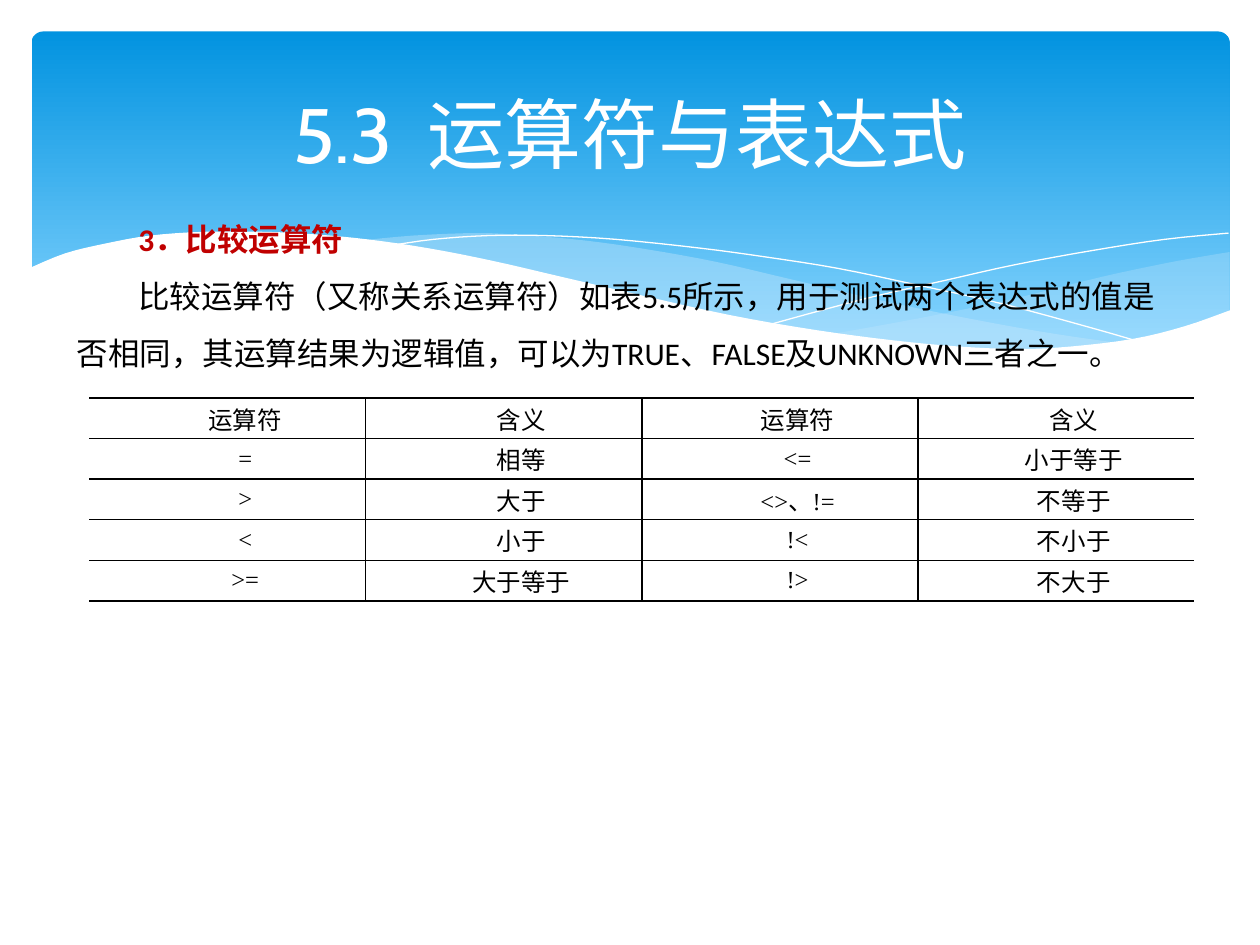
from lxml import etree
from pptx import Presentation
from pptx.dml.color import RGBColor
from pptx.enum.shapes import MSO_SHAPE
from pptx.enum.text import MSO_ANCHOR, PP_ALIGN
from pptx.oxml.ns import qn
from pptx.util import Inches, Pt

ROUNDED = MSO_SHAPE.ROUNDED_RECTANGLE
MIDDLE, TOP = MSO_ANCHOR.MIDDLE, MSO_ANCHOR.TOP
CENTER, LEFT = PP_ALIGN.CENTER, PP_ALIGN.LEFT

COLORS = {
    "sky_dark": "0293E0",
    "sky_light": "83D3FE",
    "mist": "C6E7FC",
    "white": "FFFFFF",
    "heading": "C00000",
    "ink": "000000",
}

# Knots of the smooth wave edges, in inches
RIGHT_BAND_TOP = [(9.76, 2), (9.35, 2.07), (8.91, 2.16), (8.61, 2.23),
                  (8.05, 2.37), (7.53, 2.48), (7.06, 2.57), (6.61, 2.65)]
RIGHT_BAND_BOTTOM = [(6.61, 2.65), (7.05, 2.71), (7.57, 2.76), (8.03, 2.78),
                     (8.54, 2.76), (8.97, 2.7), (9.35, 2.62), (9.76, 2.47)]
LONG_BAND_TOP = [(8.93, 2.73), (8.37, 2.65), (7.75, 2.54), (7.06, 2.4),
                 (6.29, 2.22), (5.69, 2.08), (5.14, 1.98), (4.65, 1.91),
                 (4.2, 1.87), (3.8, 1.85), (3.28, 1.87), (2.86, 1.91)]
LONG_BAND_BOTTOM = [(2.86, 1.91), (3.42, 1.99), (4.04, 2.11), (4.49, 2.22),
                    (5.3, 2.4), (6.01, 2.55), (6.65, 2.66), (7.22, 2.74),
                    (7.73, 2.77), (8.18, 2.78), (8.57, 2.77), (8.93, 2.73)]
FALLING_LINE = [(3.09, 1.95), (3.44, 1.9), (3.87, 1.87), (4.33, 1.87),
                (4.89, 1.9), (5.56, 1.97), (6.08, 2.04), (6.65, 2.13),
                (7.27, 2.26), (7.95, 2.41), (8.69, 2.61), (9.07, 2.72)]
RISING_LINE = [(6.13, 2.57), (6.53, 2.46), (6.95, 2.35), (7.48, 2.23),
               (8.06, 2.1), (8.66, 1.99), (9.24, 1.9), (9.75, 1.85)]
WHITE_WAVE = [(9.77, 2.46), (9.4, 2.59), (8.99, 2.69), (8.5, 2.75),
              (8.09, 2.77), (7.61, 2.75), (7.08, 2.7), (6.48, 2.62),
              (5.79, 2.5), (5.03, 2.33), (4.47, 2.2), (3.91, 2.07),
              (3.4, 1.97), (2.92, 1.9), (2.5, 1.86), (2.11, 1.84),
              (1.61, 1.84), (1.19, 1.87), (0.85, 1.93), (0.52, 2.01),
              (0.23, 2.13)]
WAVE_BASE = [(0.23, 3.29), (9.77, 3.29)]

TITLE = "5.3  运算符与表达式"
HEADING = "3．比较运算符"
BODY = ("比较运算符（又称关系运算符）如表5.5所示，用于测试两个表达式的值是否相同，"
        "其运算结果为逻辑值，可以为TRUE、FALSE及UNKNOWN三者之一。")
OPERATORS = [
    ["运算符", "含义", "运算符", "含义"],
    ["=", "相等", "<=", "小于等于"],
    [">", "大于", "<>、!=", "不等于"],
    ["<", "小于", "!<", "不小于"],
    [">=", "大于等于", "!>", "不大于"],
]


def color(name):
    return RGBColor.from_string(COLORS[name])


def apply(target, values):
    for name, value in values.items():
        setattr(target, name, value)


def smooth(knots, steps=4):
    """Points of a Catmull-Rom curve through the knots."""
    ends = [knots[0], *knots, knots[-1]]
    points = []
    for a, b, c, d in zip(ends, ends[1:], ends[2:], ends[3:]):
        for step in range(steps):
            t = step / steps
            points.append(tuple(
                (2 * q + (r - p) * t + (2 * p - 5 * q + 4 * r - s) * t ** 2
                 + (3 * q - p - 3 * r + s) * t ** 3) / 2
                for p, q, r, s in zip(a, b, c, d)))
    return points + [knots[-1]]


class SlideWriter:
    title_font = {"name": "Cabin", "size": Pt(44)}
    body_font = {"name": "Calibri", "size": Pt(18)}
    table_font = {"name": "Times New Roman", "size": Pt(14)}

    def __init__(self, slide):
        self.slide = slide

    def banner(self, left, top, width, height):
        shape = self.slide.shapes.add_shape(
            ROUNDED, Inches(left), Inches(top), Inches(width), Inches(height))
        shape.adjustments[0] = 0.034
        shape.shadow.inherit = False
        shape.line.fill.background()
        shape.fill.gradient()
        shape.fill.gradient_angle = 270
        stops = ((0, "sky_dark"), (0.9, "sky_light"))
        for stop, (position, name) in zip(shape.fill.gradient_stops, stops):
            stop.position = position
            stop.color.rgb = color(name)

    def outline(self, points, closed):
        points = [(Inches(x), Inches(y)) for x, y in points]
        builder = self.slide.shapes.build_freeform(*points[0])
        builder.add_line_segments(points[1:], close=closed)
        shape = builder.convert_to_shape()
        shape.shadow.inherit = False
        return shape

    def area(self, points, fill, opacity=100):
        shape = self.outline(points, True)
        shape.line.fill.background()
        shape.fill.solid()
        shape.fill.fore_color.rgb = color(fill)
        if opacity < 100:
            rgb = shape.fill._xPr.find(".//" + qn("a:srgbClr"))
            etree.SubElement(rgb, qn("a:alpha"), val=str(opacity * 1000))

    def curve(self, points):
        shape = self.outline(points, False)
        shape.fill.background()
        shape.line.color.rgb = color("white")
        shape.line.width = Pt(0)

    def paragraph(self, paragraph, text, font, name, indent=0, **layout):
        run = paragraph.add_run()
        run.text = text
        apply(run.font, font)
        run.font.color.rgb = color(name)
        apply(paragraph, layout)
        if indent:
            properties = paragraph._p.get_or_add_pPr()
            properties.set("marL", "0")
            properties.set("indent", str(Inches(indent)))

    def text_box(self, left, top, width, height, anchor):
        box = self.slide.shapes.add_textbox(
            Inches(left), Inches(top), Inches(width), Inches(height))
        apply(box.text_frame, {"word_wrap": True, "vertical_anchor": anchor})
        return box.text_frame

    def border(self, cell, side, width):
        properties = cell._tc.get_or_add_tcPr()
        line = etree.SubElement(properties, qn("a:ln" + side), w=str(Pt(width)))
        if width:
            fill = etree.SubElement(line, qn("a:solidFill"))
            etree.SubElement(fill, qn("a:srgbClr"), val=COLORS["ink"])
        else:
            etree.SubElement(line, qn("a:noFill"))

    def table(self, rows, left, top, width, height):
        count = len(rows[0])
        table = self.slide.shapes.add_table(
            len(rows), count, Inches(left), Inches(top),
            Inches(width), Inches(height)).table
        apply(table, {"first_row": False, "horz_banding": False})
        # Vertical rules: open at both ends, heavier in the middle
        rules = [0, 1, 1.5, 1, 0]
        cell_format = {"vertical_anchor": MIDDLE,
                       "margin_left": Inches(0.07), "margin_right": Inches(0.07),
                       "margin_top": 0, "margin_bottom": 0}
        for row, texts in enumerate(rows):
            for column, text in enumerate(texts):
                cell = table.cell(row, column)
                apply(cell, cell_format)
                widths = {"L": rules[column], "R": rules[column + 1], "T": 1, "B": 1}
                for side, rule in widths.items():
                    self.border(cell, side, rule)
                cell.fill.background()
                self.paragraph(cell.text_frame.paragraphs[0], text,
                               self.table_font, "ink", indent=0.28,
                               alignment=CENTER, space_after=Pt(1.2))


def main():
    presentation = Presentation()
    apply(presentation, {"slide_width": Inches(10), "slide_height": Inches(7.5)})
    writer = SlideWriter(presentation.slides.add_slide(presentation.slide_layouts[6]))

    # Sky banner with waves
    writer.banner(0.25, 0.25, 9.51, 2.7)
    writer.area(smooth(RIGHT_BAND_TOP) + smooth(RIGHT_BAND_BOTTOM), "mist", 29)
    writer.area(smooth(LONG_BAND_TOP) + smooth(LONG_BAND_BOTTOM), "mist", 40)
    for knots in (FALLING_LINE, RISING_LINE):
        writer.curve(smooth(knots))
    writer.area(smooth(WHITE_WAVE) + WAVE_BASE, "white")

    # Title
    title = writer.text_box(0.5, 0.37, 9, 1.37, MIDDLE)
    writer.paragraph(title.paragraphs[0], TITLE, writer.title_font, "white",
                     alignment=CENTER)

    # Heading and explanation
    body = writer.text_box(0.51, 1.55, 8.98, 1.87, TOP)
    layout = {"indent": 0.49, "line_spacing": 1.5, "alignment": LEFT}
    writer.paragraph(body.paragraphs[0], HEADING,
                     {**writer.body_font, "bold": True}, "heading", **layout)
    writer.paragraph(body.add_paragraph(), BODY, writer.body_font, "ink", **layout)

    # Comparison operators
    writer.table(OPERATORS, 0.71, 3.16, 8.77, 1.61)

    presentation.save("out.pptx")


if __name__ == "__main__":
    main()
